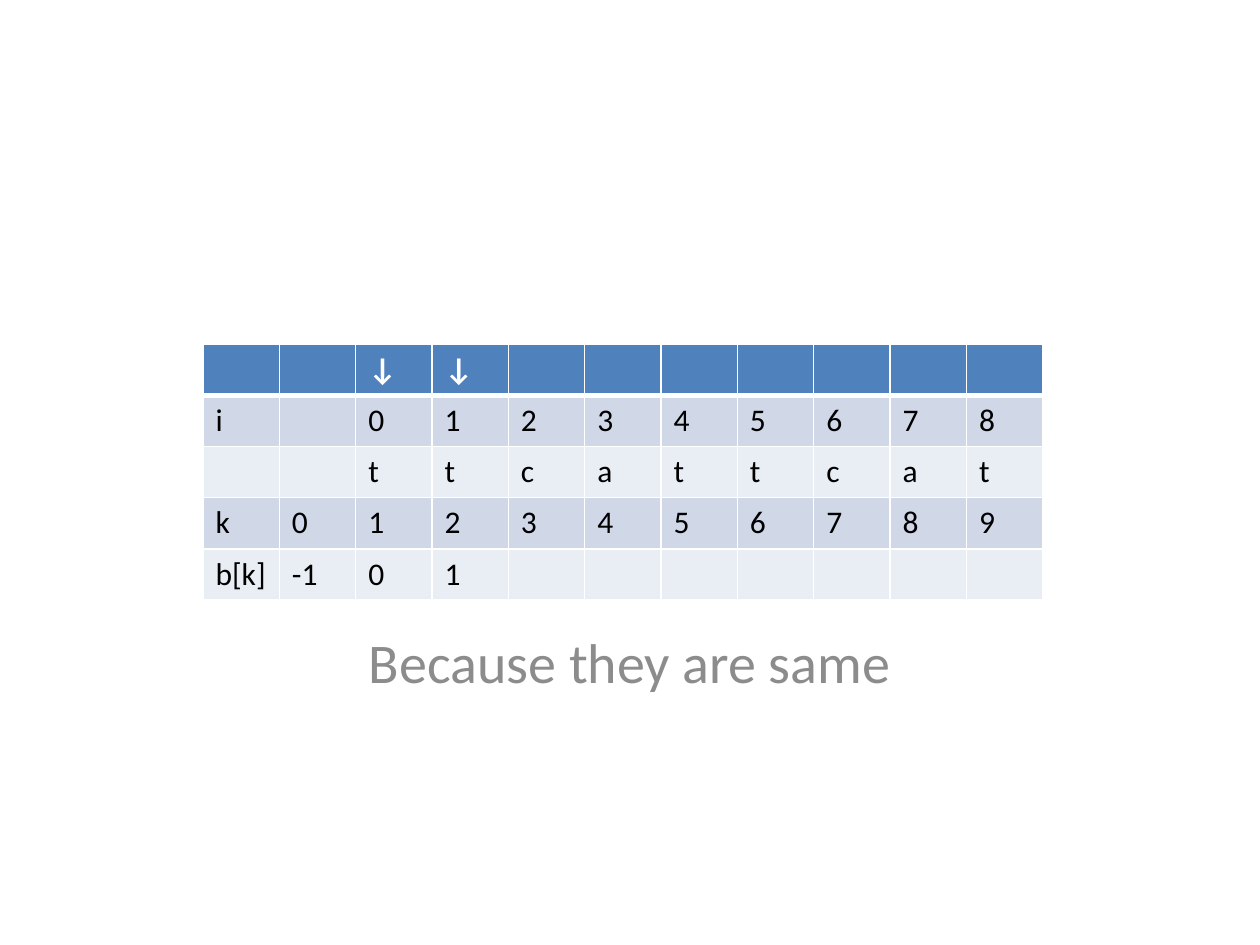
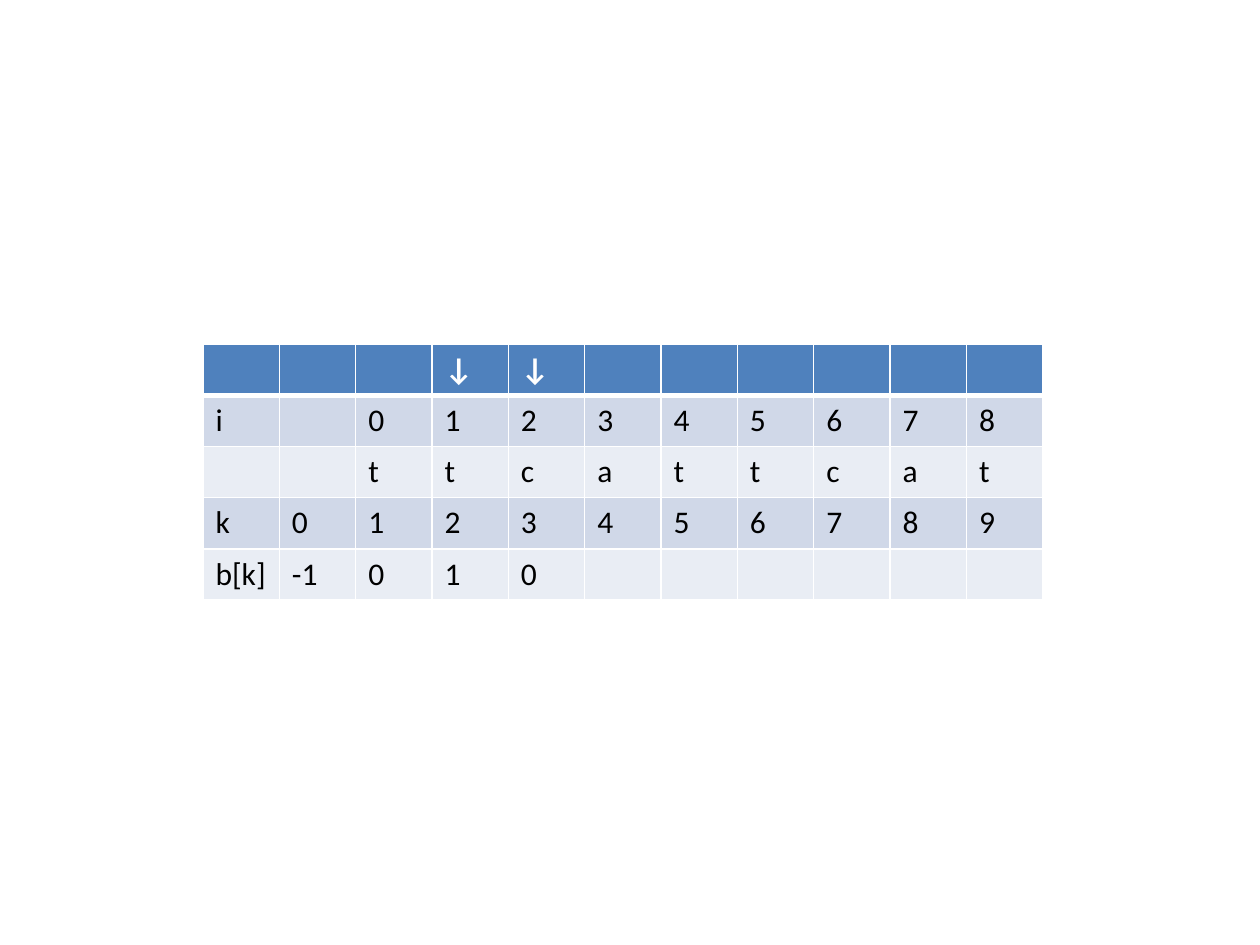
"""Builds two slides that trace the border table of the pattern ttcattcat."""
from dataclasses import dataclass

from lxml.etree import SubElement
from pptx import Presentation
from pptx.dml.color import RGBColor as Rgb
from pptx.enum.text import PP_ALIGN as Align
from pptx.oxml.ns import qn
from pptx.util import Pt

SCALE = 914400 / 126
PATTERN = "ttcattcat"
LEAD_COLUMNS = 2


def px(length):
    return round(length * SCALE)


@dataclass(frozen=True)
class Theme:
    font: str = "Calibri"
    header: str = "4F81BD"
    odd_row: str = "D0D8E8"
    even_row: str = "E9EDF4"
    rule: str = "FFFFFF"
    header_text: str = "FFFFFF"
    body_text: str = "000000"
    caption_text: str = "8C8C8C"
    cell_size: int = 18
    caption_size: int = 32
    thin: int = 1
    thick: int = 3


class Deck:
    def __init__(self, theme):
        self.theme = theme
        self.presentation = Presentation()
        self.presentation.slide_width = px(1260)
        self.presentation.slide_height = px(945)
        self.slide = None

    def add_slide(self):
        self.slide = self.presentation.slides.add_slide(self.presentation.slide_layouts[6])

    def style(self, paragraph, size, color, bold=False):
        font = paragraph.font
        font.name, font.size, font.bold = self.theme.font, Pt(size), bold
        font.color.rgb = Rgb.from_string(color)

    def caption(self, text, left, top, width, height):
        frame = self.slide.shapes.add_textbox(px(left), px(top), px(width), px(height)).text_frame
        frame.word_wrap = True
        paragraph = frame.paragraphs[0]
        paragraph.text = text
        paragraph.alignment = Align.CENTER
        paragraph.space_before = Pt(3)
        self.style(paragraph, self.theme.caption_size, self.theme.caption_text)

    def border(self, cell, side, width):
        line = SubElement(cell._tc.get_or_add_tcPr(), qn(f"a:ln{side}"), w=str(Pt(width)))
        SubElement(SubElement(line, qn("a:solidFill")), qn("a:srgbClr"), val=self.theme.rule)

    def cell(self, cell, text, row):
        theme = self.theme
        is_header = row == 0
        for side in "LRTB":
            meets_header = (row, side) in ((0, "B"), (1, "T"))
            self.border(cell, side, theme.thick if meets_header else theme.thin)
        fill = theme.header if is_header else theme.odd_row if row % 2 else theme.even_row
        cell.fill.solid()
        cell.fill.fore_color.rgb = Rgb.from_string(fill)
        cell.text = text
        color = theme.header_text if is_header else theme.body_text
        self.style(cell.text_frame.paragraphs[0], theme.cell_size, color, is_header)

    def table(self, rows, left, top, width, height):
        frame = self.slide.shapes.add_table(
            len(rows), len(rows[0]), px(left), px(top), px(width), px(height))
        for r, texts in enumerate(rows):
            for c, text in enumerate(texts):
                self.cell(frame.table.cell(r, c), text, r)


def border_rows(compared, borders):
    """Returns the table rows for the compared indices and the borders found so far."""
    count = len(PATTERN)
    lead = [""] * LEAD_COLUMNS
    return [
        lead + ["↓" if i in compared else "" for i in range(count)],
        ["i", ""] + [str(i) for i in range(count)],
        lead + list(PATTERN),
        ["k"] + [str(k) for k in range(count + 1)],
        ["b[k]"] + [str(b) for b in borders] + [""] * (count + 1 - len(borders)),
    ]


STEPS = [
    ((0, 1), (-1, 0, 1), "Because they are same"),
    ((1, 2), (-1, 0, 1, 0), None),
]

deck = Deck(Theme())
for compared, borders, reason in STEPS:
    deck.add_slide()
    if reason:
        deck.caption(reason, 189, 621, 882, 156)
    deck.table(border_rows(compared, borders), 203, 344, 840, 256)
deck.presentation.save("out.pptx")
